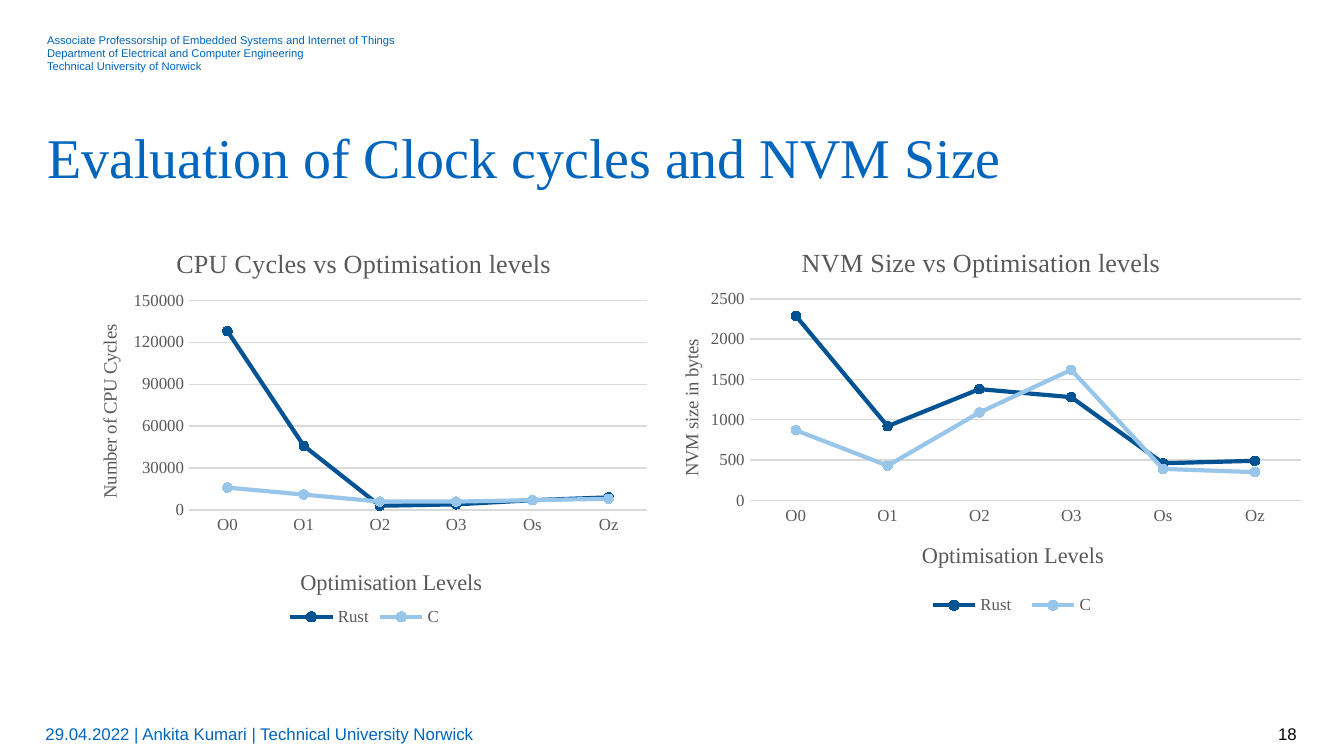
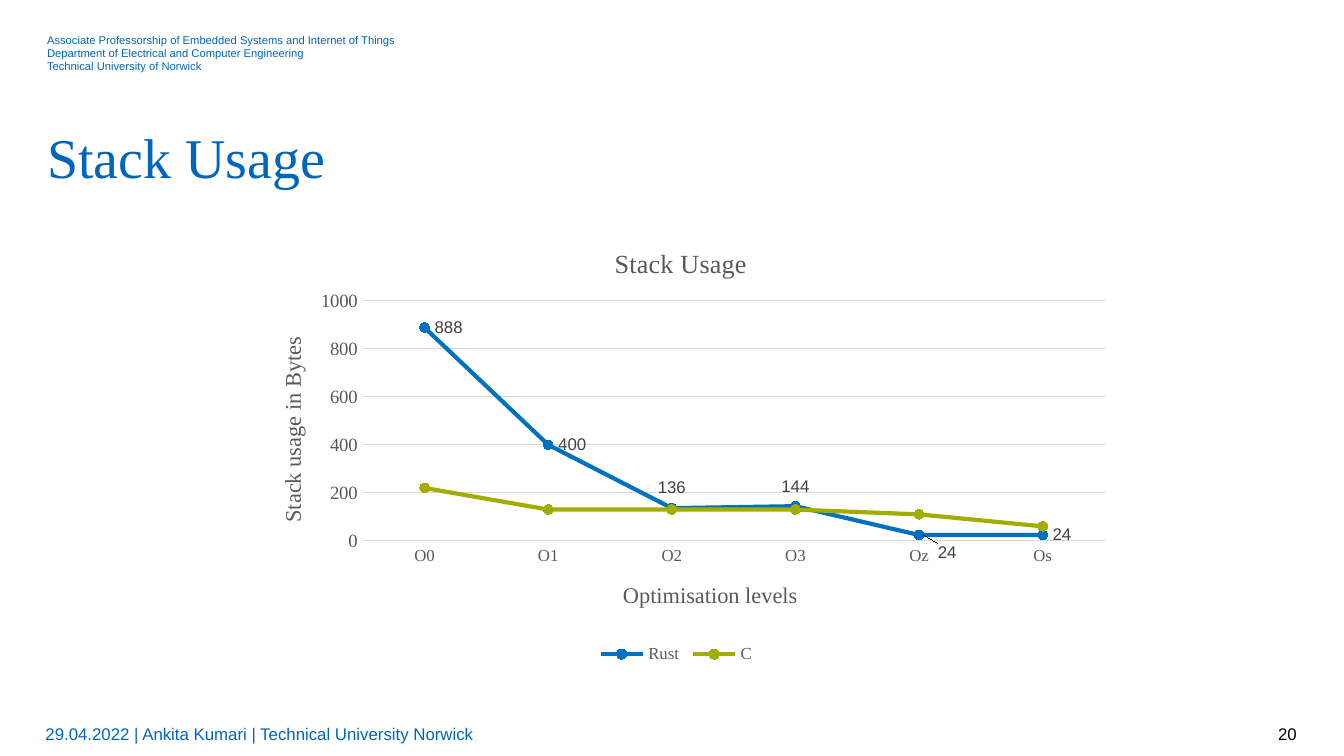
"""Build two slides of line charts on clock cycles, NVM size and stack usage."""
from dataclasses import dataclass

from lxml import etree
from pptx import Presentation
from pptx import util as u
from pptx.chart.data import CategoryChartData
from pptx.dml.color import RGBColor
from pptx.enum import chart as kinds, text
from pptx.oxml.ns import qn


@dataclass(frozen=True)
class Theme:
    blue: str = "0065BD"
    black: str = "000000"
    grey: str = "595959"
    label: str = "404040"
    grid: str = "D9D9D9"
    sans: str = "Arial"
    serif: str = "Times New Roman"
    header: float = 6
    footer: float = 9
    heading: float = 30
    chart_title: float = 14
    axis_title: float = 12
    small: float = 9
    medium: float = 10


theme = Theme()


def write(frame, words, size, color=theme.blue, font=theme.sans,
          align=text.PP_ALIGN.LEFT, anchor=text.MSO_ANCHOR.TOP, spacing=None, inset=0):
    """Fill a text frame with one formatted paragraph per line."""
    frame.word_wrap = True
    frame.auto_size = text.MSO_AUTO_SIZE.NONE
    frame.vertical_anchor = anchor
    frame.margin_left = frame.margin_right = 0
    frame.margin_top = frame.margin_bottom = u.Cm(inset)
    frame.text = words
    for para in frame.paragraphs:
        para.alignment = align
        if spacing:
            para.line_spacing = spacing
        for span in para.runs:
            span.font.size, span.font.name, span.font.bold = u.Pt(size), font, False
            span.font.color.rgb = RGBColor.from_string(color)


def place(node, index, inner=False, **fractions):
    """Give a chart part a manual layout in fractions of the chart."""
    for old in node.findall(qn("c:layout")):
        node.remove(old)
    layout = etree.Element(qn("c:layout"))
    manual = etree.SubElement(layout, qn("c:manualLayout"))
    settings = {"layoutTarget": "inner"} if inner else {}
    if node.tag != qn("c:dLbl"):
        settings |= {"xMode": "edge", "yMode": "edge"}
    for name, value in (settings | fractions).items():
        etree.SubElement(manual, qn(f"c:{name}")).set("val", str(value))
    node.insert(index, layout)


header = """Associate Professorship of Embedded Systems and Internet of Things
Department of Electrical and Computer Engineering
Technical University of Norwick"""
footer = "29.04.2022 | Ankita Kumari | Technical University Norwick"

cycles = dict(
    title="CPU Cycles vs Optimisation levels", box=(1.22, 4.17, 11.23, 7.92),
    x_title="Optimisation Levels", y_title="Number of CPU Cycles",
    y_size=theme.medium, tick_size=theme.small, top=150000, step=30000,
    levels=["O0", "O1", "O2", "O3", "Os", "Oz"],
    series=[("Rust", "005293", [128000, 46000, 3000, 4000, 7000, 9000]),
            ("C", "98C6EA", [16000, 11000, 6000, 6000, 7000, 8000])],
    plot=(0.21, 0.19, 0.77, 0.5), title_at=(0.18, 0.05), x_at=(0.39, 0.82),
    y_at=(0.05, 0.24), legend=(0.37, 0.91, 0.27, 0.07))
memory = dict(
    title="NVM Size vs Optimisation levels", box=(12.14, 4.17, 12.7, 7.77),
    x_title="Optimisation Levels", y_title="NVM size in bytes",
    y_size=theme.medium, tick_size=theme.small, top=2500, step=500,
    levels=["O0", "O1", "O2", "O3", "Os", "Oz"],
    series=[("Rust", "005293", [2290, 920, 1380, 1280, 460, 490]),
            ("C", "98C6EA", [870, 430, 1090, 1620, 390, 350])],
    plot=(0.16, 0.19, 0.82, 0.49), title_at=(0.23, 0.05), x_at=(0.41, 0.77),
    y_at=(0.05, 0.28), legend=(0.41, 0.9, 0.28, 0.07))
stack = dict(
    title="Stack Usage", box=(4.52, 4.14, 16.69, 8.56),
    x_title="Optimisation levels", y_title="Stack usage in Bytes",
    y_size=theme.axis_title, tick_size=theme.medium, top=1000, step=200,
    levels=["O0", "O1", "O2", "O3", "Oz", "Os"],
    series=[("Rust", "0070C0", [888, 400, 136, 144, 24, 24]),
            ("C", "A2AD00", [220, 130, 130, 130, 110, 60])],
    plot=(0.14, 0.18, 0.84, 0.53), title_at=(0.42, 0.05), x_at=(0.43, 0.79),
    y_at=(0.04, 0.25), legend=(0.4, 0.93, 0.19, 0.06), labelled=True)
pages = [("18", "Evaluation of Clock cycles and NVM Size", [cycles, memory]),
         ("20", "Stack Usage", [stack])]

deck = Presentation()
deck.slide_width, deck.slide_height = u.Cm(25.4), u.Cm(14.28)
middle = text.MSO_ANCHOR.MIDDLE

for number, heading, charts in pages:
    page = deck.slides.add_slide(deck.slide_layouts[5])
    title = page.shapes.title
    title.left, title.top, title.width, title.height = map(u.Cm, (0.89, 2.13, 23.65, 1.47))
    write(title.text_frame, heading, theme.heading, font=theme.serif, spacing=1.15)

    for area, words, size, style in [
        ((0.89, 0.66, 21.39, 0.74), header, theme.header, dict(spacing=0.94)),
        ((0.86, 13.49, 17.96, 0.76), footer, theme.footer, dict(anchor=middle, inset=0.1)),
        ((18.82, 13.49, 5.69, 0.76), number, theme.footer,
         dict(anchor=middle, inset=0.1, color=theme.black, align=text.PP_ALIGN.RIGHT)),
    ]:
        box = page.shapes.add_textbox(*map(u.Cm, area))
        write(box.text_frame, words, size, **style)

    for item in charts:
        data = CategoryChartData()
        data.categories = item["levels"]
        for name, color, values in item["series"]:
            data.add_series(name, values)
        chart = page.shapes.add_chart(
            kinds.XL_CHART_TYPE.LINE_MARKERS, *map(u.Cm, item["box"]), data).chart
        chart.font.name, chart.font.size = theme.sans, u.Pt(theme.medium)
        chart.font.color.rgb = RGBColor.from_string(theme.black)
        plot = chart.plots[0]
        plot.vary_by_categories = False
        levels, amounts = chart.category_axis, chart.value_axis
        amounts.minimum_scale, amounts.maximum_scale = 0, item["top"]
        amounts.major_unit = item["step"]
        amounts.format.line.fill.background()

        for axis, size in [(levels, theme.small), (amounts, item["tick_size"])]:
            axis.major_tick_mark = axis.minor_tick_mark = kinds.XL_TICK_MARK.NONE
            axis.tick_labels.font.size = u.Pt(size)
            axis.tick_labels.font.name = theme.serif
            axis.tick_labels.font.color.rgb = RGBColor.from_string(theme.grey)
        for line in (levels.format.line, amounts.major_gridlines.format.line):
            line.color.rgb = RGBColor.from_string(theme.grid)
            line.width = u.Pt(0.75)

        for owner, words, size in [
            (chart.chart_title, item["title"], theme.chart_title),
            (levels.axis_title, item["x_title"], theme.axis_title),
            (amounts.axis_title, item["y_title"], item["y_size"]),
        ]:
            write(owner.text_frame, words, size, color=theme.grey, font=theme.serif,
                  align=text.PP_ALIGN.CENTER)
        turned = amounts.axis_title.text_frame
        turned.paragraphs[0].line_spacing = 1
        for body in chart.element.xpath(".//c:valAx/c:title//a:bodyPr"):
            body.set("rot", "-5400000")
            body.set("vert", "horz")

        chart.has_legend = True
        legend = chart.legend
        legend.position = kinds.XL_LEGEND_POSITION.BOTTOM
        legend.include_in_layout = False
        legend.font.size, legend.font.name = u.Pt(theme.small), theme.serif
        legend.font.color.rgb = RGBColor.from_string(theme.grey)

        for query, index, key in [
            ("c:chart/c:plotArea", 0, "plot"), ("c:chart/c:title", 1, "title_at"),
            (".//c:catAx/c:title", 1, "x_at"), (".//c:valAx/c:title", 1, "y_at"),
            ("c:chart/c:legend", 1, "legend"),
        ]:
            place(chart.element.xpath(query)[0], index, inner=key == "plot",
                  **dict(zip("xywh", item[key])))

        for series, (name, color, values) in zip(plot.series, item["series"]):
            series.smooth = False
            series.format.line.width = u.Pt(2.25)
            series.marker.style, series.marker.size = kinds.XL_MARKER_STYLE.CIRCLE, 5
            series.marker.format.fill.solid()
            for paint in (series.format.line.color, series.marker.format.fill.fore_color,
                          series.marker.format.line.color):
                paint.rgb = RGBColor.from_string(color)

        if item.get("labelled"):
            rust = plot.series[0]
            right, above = kinds.XL_LABEL_POSITION.RIGHT, kinds.XL_LABEL_POSITION.ABOVE
            rust.data_labels.show_value = True
            rust.data_labels.position = right
            special = [(2, above), (3, above), (4, right)]
            labels = [rust.points[index].data_label for index, side in special]
            for label, (index, side) in zip(labels, special):
                label.position = side
            for font in [rust.data_labels.font] + [label.font for label in labels]:
                font.size, font.name = u.Pt(theme.small), theme.sans
                font.color.rgb = RGBColor.from_string(theme.label)
            place(chart.element.xpath(".//c:dLbl[c:idx/@val='4']")[0], 1, x=0.01, y=0.04)

deck.save("out.pptx")
